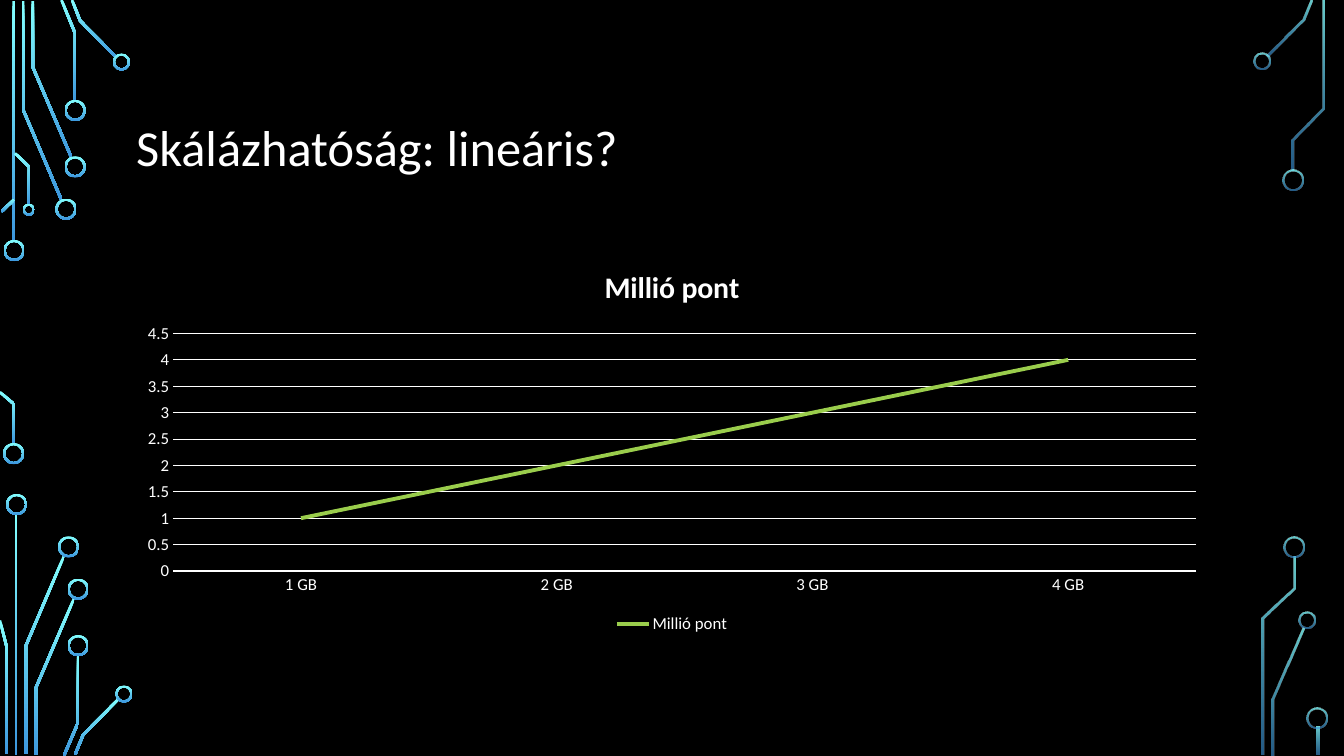
from dataclasses import dataclass
from math import hypot

from lxml.etree import SubElement
from pptx import Presentation
from pptx.chart.chart import Chart
from pptx.chart.data import CategoryChartData
from pptx.dml.color import RGBColor
from pptx.enum.chart import XL_CHART_TYPE as ChartType
from pptx.enum.chart import XL_LEGEND_POSITION as LegendPosition
from pptx.enum.chart import XL_MARKER_STYLE as MarkerStyle
from pptx.enum.chart import XL_TICK_MARK as TickMark
from pptx.enum.shapes import MSO_SHAPE as Preset
from pptx.enum.text import MSO_ANCHOR as Anchor
from pptx.enum.text import MSO_AUTO_SIZE as AutoSize
from pptx.enum.text import PP_ALIGN as Align
from pptx.oxml.ns import qn
from pptx.shapes.autoshape import Shape
from pptx.slide import Slide
from pptx.text.text import Font
from pptx.util import Inches, Pt

BLACK = RGBColor(0x00, 0x00, 0x00)
WHITE = RGBColor(0xFF, 0xFF, 0xFF)
GREEN = RGBColor(0x9A, 0xCD, 0x4C)
CYAN = RGBColor(0x82, 0xFF, 0xFF)
BLUE = RGBColor(0x3D, 0x97, 0xDE)
FONT = "Calibri"

# Grid: one cell is a hundredth of an inch
CELL = Inches(0.01)
COLUMNS, ROWS = 1333, 750
TRACE_WIDTH = 2.6
RING_WIDTH = 2
OPAQUE = (100, 100)
FADED = (80, 60)

Point = tuple[float, float]


@dataclass(frozen=True)
class Trace:
    """Circuit track along a centre line of (column, row) points."""
    points: tuple[Point, ...]


@dataclass(frozen=True)
class Ring:
    """Circuit pad around a centre (column, row)."""
    column: float
    row: float
    diameter: float = 21


@dataclass(frozen=True)
class Circuit:
    alphas: tuple[int, int]
    traces: tuple[Trace, ...]
    rings: tuple[Ring, ...]


LEFT_CIRCUIT = Circuit(
    OPAQUE,
    (
        Trace(((13.5, 1), (13.5, 240))),
        Trace(((23, 1), (23, 109), (61, 198.5))),
        Trace(((32.5, 1), (32.5, 66.5), (71, 156.5))),
        Trace(((61, 0), (74.5, 33), (74.5, 100))),
        Trace(((71.5, 0), (79.5, 20.5), (115.5, 57))),
        Trace(((1.5, 210), (14, 198))),
        Trace(((0, 389), (14, 401), (14, 441))),
        Trace(((15, 152), (29, 165.5), (29, 203))),
        Trace(((16, 510), (16, 749))),
        Trace(((25.5, 748), (25.5, 641), (63.5, 551.5))),
        Trace(((0, 615.5), (6.5, 641), (6.5, 748))),
        Trace(((35.5, 749), (35.5, 682.5), (73.5, 593.5))),
        Trace(((63.5, 749.5), (77.5, 717), (77.5, 650))),
        Trace(((74.5, 748.5), (82.5, 729), (118, 693))),
    ),
    (
        Ring(14, 248.5), Ring(13.5, 450), Ring(65.5, 207.5), Ring(74.5, 165.5),
        Ring(74.5, 109.5), Ring(120.5, 61.5, 17), Ring(28.5, 208, 12),
        Ring(16.5, 500.5), Ring(68, 542.5), Ring(77.5, 584.5),
        Ring(77.5, 640.5), Ring(123, 688.5, 17),
    ),
)
RIGHT_CIRCUIT = Circuit(
    FADED,
    (
        Trace(((1257, 55.5), (1292.5, 19.5), (1300.5, 0))),
        Trace(((1262.5, 749), (1262.5, 693.5), (1293, 623.5))),
        Trace(((1282, 169), (1282, 138.5), (1312.5, 107.5), (1312.5, 1))),
        Trace(((1252.5, 749), (1252.5, 613.5), (1283.5, 583.5), (1283.5, 552))),
        Trace(((1307, 721), (1307, 749))),
    ),
    (
        Ring(1252, 60.5, 17), Ring(1282.5, 178.5), Ring(1296.5, 615.5, 17),
        Ring(1283, 542.5), Ring(1306.5, 712),
    ),
)


def paint(shape: Shape, alphas: tuple[int, int]) -> None:
    """Fill top to bottom from cyan to blue, without outline or shadow."""
    shape.shadow.inherit = False
    shape.line.fill.background()
    shape.fill.gradient()
    shape.fill.gradient_angle = 270
    for stop, color in zip(shape.fill.gradient_stops, (CYAN, BLUE)):
        stop.color.rgb = color
    if alphas != OPAQUE:
        for color, alpha in zip(shape._element.spPr.iter(qn("a:srgbClr")), alphas):
            SubElement(color, qn("a:alpha"), val=str(alpha * 1000))


def ribbon(points: tuple[Point, ...], width: float) -> list[Point]:
    """Outline of a mitred band of the given width around a centre line."""
    normals: list[Point] = []
    for (x1, y1), (x2, y2) in zip(points, points[1:]):
        length = hypot(x2 - x1, y2 - y1)
        normals.append(((y1 - y2) / length, (x2 - x1) / length))
    near: list[Point] = []
    far: list[Point] = []
    before, after = normals[:1] + normals, normals + normals[-1:]
    for (x, y), (ax, ay), (bx, by) in zip(points, before, after):
        reach = width / 2 / (1 + ax * bx + ay * by)
        dx, dy = (ax + bx) * reach, (ay + by) * reach
        near.append((x + dx, y + dy))
        far.append((x - dx, y - dy))
    return near + far[::-1]


def draw_trace(page: Slide, trace: Trace, alphas: tuple[int, int]) -> None:
    outline = [(x * CELL, y * CELL) for x, y in ribbon(trace.points, TRACE_WIDTH)]
    builder = page.shapes.build_freeform(*outline[0])
    builder.add_line_segments(outline[1:], close=True)
    paint(builder.convert_to_shape(), alphas)


def draw_ring(page: Slide, ring: Ring, alphas: tuple[int, int]) -> None:
    size = int(ring.diameter * CELL)
    left = int(ring.column * CELL) - size // 2
    top = int(ring.row * CELL) - size // 2
    donut = page.shapes.add_shape(Preset.DONUT, left, top, size, size)
    donut.adjustments[0] = RING_WIDTH / ring.diameter
    paint(donut, alphas)


def set_font(font: Font, size: float, bold: bool = False) -> None:
    font.name, font.size, font.bold = FONT, Pt(size), bold
    font.color.rgb = WHITE


def write_title(page: Slide, text: str) -> None:
    box = page.shapes.title
    box.left, box.top = 125 * CELL, 68 * CELL
    box.width, box.height = 1083 * CELL, 162 * CELL
    frame = box.text_frame
    frame.text = text
    frame.auto_size, frame.vertical_anchor = AutoSize.NONE, Anchor.MIDDLE
    para = frame.paragraphs[0]
    para.alignment, para.line_spacing = Align.LEFT, 0.9
    set_font(para.font, 36)


def style_axes(chart: Chart) -> None:
    for axis in (chart.category_axis, chart.value_axis):
        axis.major_tick_mark = axis.minor_tick_mark = TickMark.NONE
        set_font(axis.tick_labels.font, 12)
    line = chart.category_axis.format.line
    line.color.rgb, line.width = WHITE, Pt(1)
    values = chart.value_axis
    values.minimum_scale, values.maximum_scale, values.major_unit = 0, 4.5, 0.5
    values.format.line.fill.background()
    grid = values.major_gridlines.format.line
    grid.color.rgb, grid.width = WHITE, Pt(0.75)


def draw_chart(page: Slide) -> None:
    data = CategoryChartData()
    data.categories = ["1 GB", "2 GB", "3 GB", "4 GB"]
    data.add_series("Millió pont", (1, 2, 3, 4))
    chart = page.shapes.add_chart(
        ChartType.LINE, 125 * CELL, 246 * CELL, 1083 * CELL, 387 * CELL, data
    ).chart
    set_font(chart.font, 10)
    # Title and legend
    title = chart.chart_title
    title.text_frame.text = "Millió pont"
    title.include_in_layout = False
    set_font(title.text_frame.paragraphs[0].font, 21.3, bold=True)
    chart.has_legend = True
    chart.legend.position = LegendPosition.BOTTOM
    chart.legend.include_in_layout = False
    set_font(chart.legend.font, 12)
    style_axes(chart)
    # Series
    chart.plots[0].vary_by_categories = False
    series = chart.plots[0].series[0]
    series.smooth = False
    series.marker.style = MarkerStyle.NONE
    series.format.line.color.rgb, series.format.line.width = GREEN, Pt(2.75)


def main() -> None:
    deck = Presentation()
    deck.slide_width, deck.slide_height = COLUMNS * CELL, ROWS * CELL
    page = deck.slides.add_slide(deck.slide_layouts.get_by_name("Title Only"))
    page.background.fill.solid()
    page.background.fill.fore_color.rgb = BLACK
    for circuit in (LEFT_CIRCUIT, RIGHT_CIRCUIT):
        for trace in circuit.traces:
            draw_trace(page, trace, circuit.alphas)
        for ring in circuit.rings:
            draw_ring(page, ring, circuit.alphas)
    write_title(page, "Skálázhatóság: lineáris?")
    draw_chart(page)
    deck.save("out.pptx")


if __name__ == "__main__":
    main()
